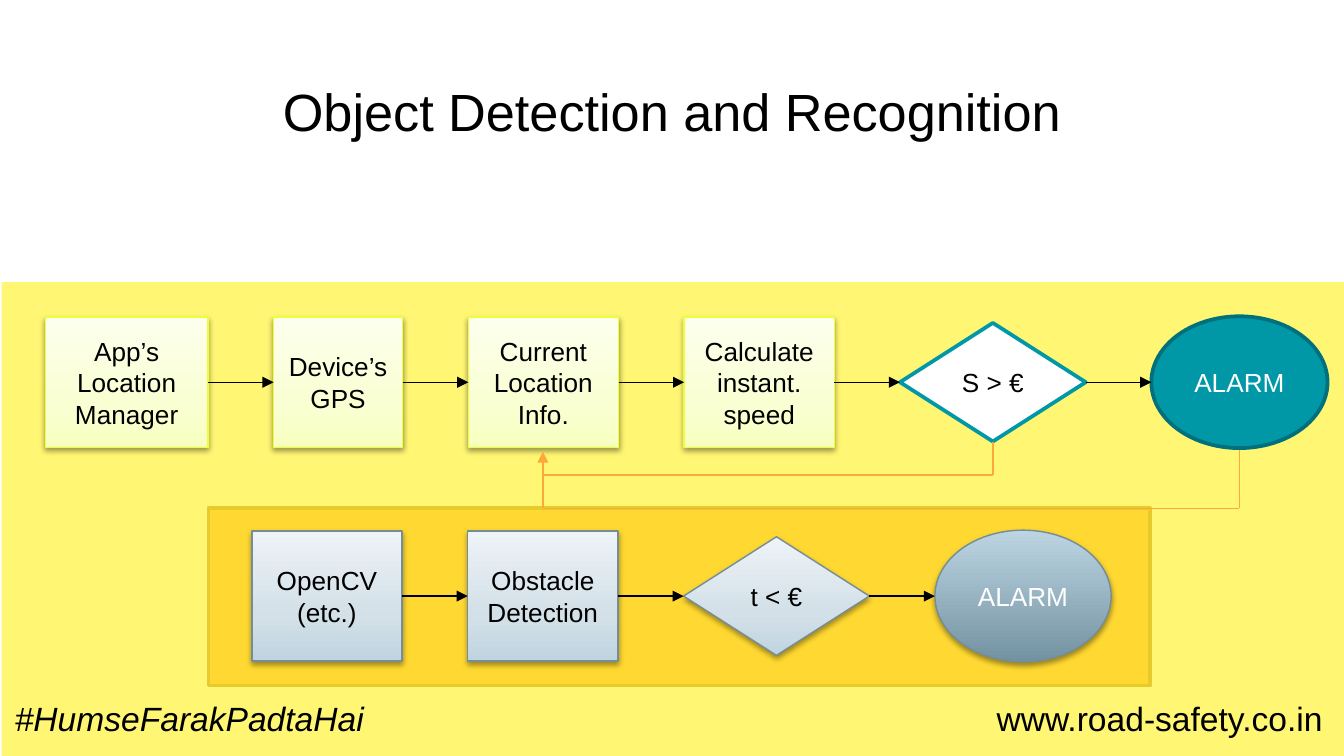
from lxml.etree import SubElement
from pptx import Presentation
from pptx.dml.color import RGBColor
from pptx.enum.shapes import MSO_CONNECTOR as Connector, MSO_SHAPE as Shape
from pptx.enum.text import MSO_ANCHOR as Anchor, MSO_AUTO_SIZE as AutoSize, PP_ALIGN as Align
from pptx.oxml.ns import qn
from pptx.util import Cm, Pt

COLORS = {
    "black": "000000", "white": "FFFFFF", "yellow": "FFF329",
    "orange": "FFAB40", "orange_edge": "BD7F2F", "feedback": "FEA83A",
    "lime_edge": "EDFE3B", "teal": "0097A7", "teal_edge": "00707C",
    "slate_edge": "748D99",
}
GRADIENTS = {
    "lime": [(0, "F7FFC0"), (35, "F9FFD3"), (100, "FDFFEE")],
    "mist": [(0, "C0D4E0"), (35, "D3E0E8"), (100, "EEF3F7")],
    "slate": [(0, "7392A1"), (100, "BDD5E2")],
}
INSET = 0.25
GAP = 1.24
BOX_HEIGHT = 2.46
DIAMOND = (Shape.DIAMOND, 3.51, 2.24)
ELLIPSE = (Shape.OVAL, 3.33, 2.49)
BOTTOM, LEFT, RIGHT = 2, 1, 3


def rgb(name):
    return RGBColor.from_string(COLORS[name])


def box(width):
    return Shape.RECTANGLE, width, BOX_HEIGHT


def set_all(target, values):
    for name, value in values.items():
        setattr(target, name, value)


def write(shape, text, size, color="black", align=Align.CENTER, anchor=Anchor.MIDDLE, italic=False):
    frame = shape.text_frame
    set_all(frame, {
        "word_wrap": True, "auto_size": AutoSize.NONE, "vertical_anchor": anchor,
        "margin_left": Cm(INSET), "margin_right": Cm(INSET),
        "margin_top": Cm(INSET), "margin_bottom": Cm(INSET),
    })
    paragraph = frame.paragraphs[0]
    paragraph.alignment = align
    run = paragraph.add_run()
    run.text = text
    set_all(run.font, {"name": "Arial", "size": Pt(size), "italic": italic})
    run.font.color.rgb = rgb(color)


def fill_gradient(shape, stops):
    shape.fill.gradient()
    shape.fill.gradient_angle = 90
    stop_list = shape._element.spPr.find(".//" + qn("a:gsLst"))
    for stop in list(stop_list):
        stop_list.remove(stop)
    for position, color in stops:
        stop = SubElement(stop_list, qn("a:gs"), pos=str(position * 1000))
        SubElement(stop, qn("a:srgbClr"), val=color)


def add_shadow(shape):
    effects = shape._element.spPr.find(qn("a:effectLst"))
    shadow = SubElement(effects, qn("a:outerShdw"), blurRad="40000", dist="20000",
                        dir="5400000", rotWithShape="0")
    color = SubElement(shadow, qn("a:srgbClr"), val=COLORS["black"])
    SubElement(color, qn("a:alpha"), val="38000")


def add_panel(slide, kind, left, top, width, height, fill, edge=None, edge_width=2, opacity=None):
    shape = slide.shapes.add_shape(kind, Cm(left), Cm(top), Cm(width), Cm(height))
    shape.shadow.inherit = False
    if fill in GRADIENTS:
        fill_gradient(shape, GRADIENTS[fill])
        add_shadow(shape)
    else:
        shape.fill.solid()
        shape.fill.fore_color.rgb = rgb(fill)
    if opacity:
        color = shape._element.spPr.find(qn("a:solidFill")).find(qn("a:srgbClr"))
        SubElement(color, qn("a:alpha"), val=str(opacity * 1000))
    if edge:
        shape.line.color.rgb = rgb(edge)
        shape.line.width = Pt(edge_width)
    else:
        shape.line.fill.background()
    return shape


def add_line(slide, start, end, color, arrow=False):
    line = slide.shapes.add_connector(Connector.STRAIGHT, *map(Cm, (*start, *end)))
    line.line.color.rgb = rgb(color)
    line.line.width = Pt(0.75)
    if arrow:
        SubElement(line.line._get_or_add_ln(), qn("a:tailEnd"), type="triangle")
    SubElement(line._element.spPr, qn("a:effectLst"))
    return line


def add_flow(slide, left, middle, steps):
    shapes = []
    for text, (kind, width, height), fill, edge, edge_width, text_color in steps:
        shape = add_panel(slide, kind, left, middle - height / 2, width, height,
                          fill, edge, edge_width)
        write(shape, text, 14, text_color)
        if shapes:
            arrow = add_line(slide, (left - GAP, middle), (left, middle), "black", True)
            arrow.begin_connect(shapes[-1], RIGHT)
            if kind != Shape.OVAL:
                arrow.end_connect(shape, LEFT)
        shapes.append(shape)
        left += width + GAP
    return shapes


def add_footer(slide, left, width, text, align, italic=False):
    footer = slide.shapes.add_textbox(Cm(left), Cm(12.93), Cm(width), Cm(1.35))
    write(footer, text, 18, align=align, anchor=Anchor.TOP, italic=italic)


def add_title(slide, text):
    title = slide.shapes.title
    set_all(title, {"left": Cm(0.86), "top": Cm(1.24), "width": Cm(23.67), "height": Cm(1.6)})
    write(title, text, 28, anchor=Anchor.TOP)


def add_feedback(slide, decision, alarm):
    trunk, upper, lower = 10.26, 8.97, 9.6
    decision_x, alarm_x = [(shape.left + shape.width / 2) / Cm(1) for shape in (decision, alarm)]
    drop = add_line(slide, (decision_x, 8.34), (decision_x, upper), "feedback")
    drop.begin_connect(decision, BOTTOM)
    add_line(slide, (alarm_x, 8.5), (alarm_x, lower), "feedback")
    add_line(slide, (trunk, lower), (trunk, 8.53), "feedback", True)
    add_line(slide, (decision_x, upper), (trunk, upper), "feedback")
    add_line(slide, (trunk, lower), (alarm_x, lower), "feedback")


def main():
    presentation = Presentation()
    set_all(presentation, {"slide_width": Cm(25.4), "slide_height": Cm(14.28)})
    slide = presentation.slides.add_slide(presentation.slide_layouts[5])
    add_title(slide, "Object Detection and Recognition")
    add_panel(slide, Shape.RECTANGLE, 3.94, 9.6, 17.8, 3.35, "orange", "orange_edge")
    add_panel(slide, Shape.RECTANGLE, 0.03, 5.33, 25.4, 8.97, "yellow", opacity=65)
    add_footer(slide, 0.03, 12, "#HumseFarakPadtaHai", Align.LEFT, True)
    add_footer(slide, 13.25, 12, "www.road-safety.co.in", Align.RIGHT)

    lime = ("lime", "lime_edge", 0.75, "black")
    mist = ("mist", "slate_edge", 0.75, "black")
    location_flow = add_flow(slide, 0.86, 7.22, [
        ("App’s Location Manager", box(3.07), *lime),
        ("Device’s GPS", box(2.44), *lime),
        ("Current Location Info.", box(2.84), *lime),
        ("Calculate instant. speed", box(2.84), *lime),
        ("S > €", DIAMOND, "white", "teal", 2, "black"),
        ("ALARM", ELLIPSE, "teal", "teal_edge", 2, "white"),
    ])
    add_feedback(slide, *location_flow[-2:])
    add_flow(slide, 4.76, 11.26, [
        ("OpenCV (etc.)", box(2.84), *mist),
        ("Obstacle Detection", box(2.84), *mist),
        ("t < €", DIAMOND, *mist),
        ("ALARM", ELLIPSE, "slate", "slate_edge", 0.75, "white"),
    ])
    presentation.save("out.pptx")


if __name__ == "__main__":
    main()
